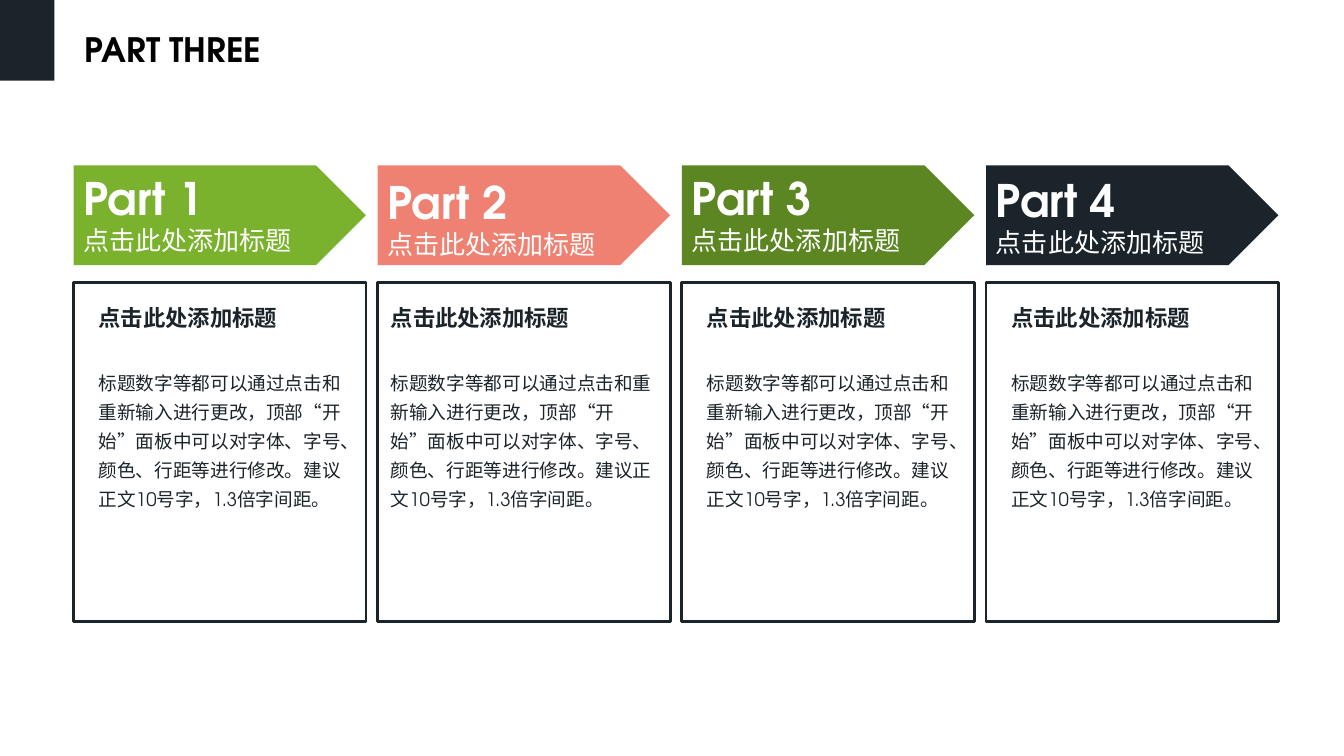
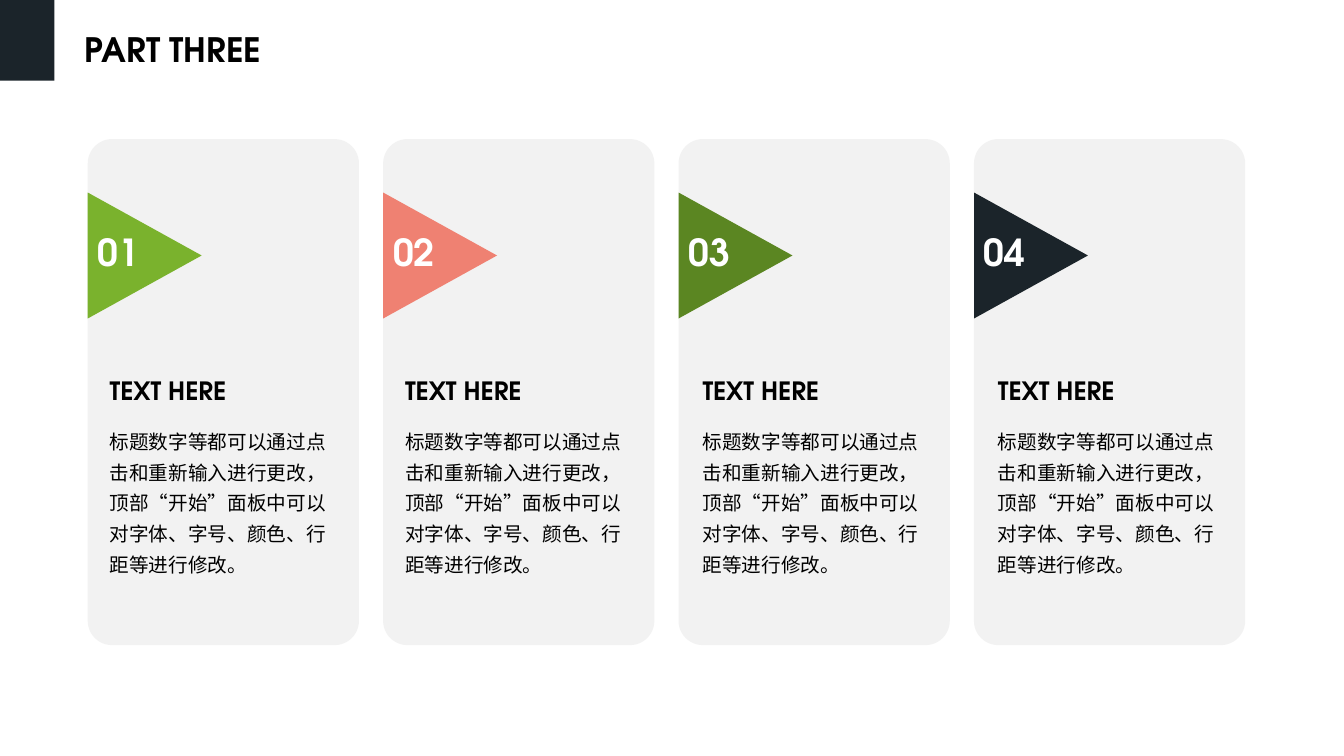
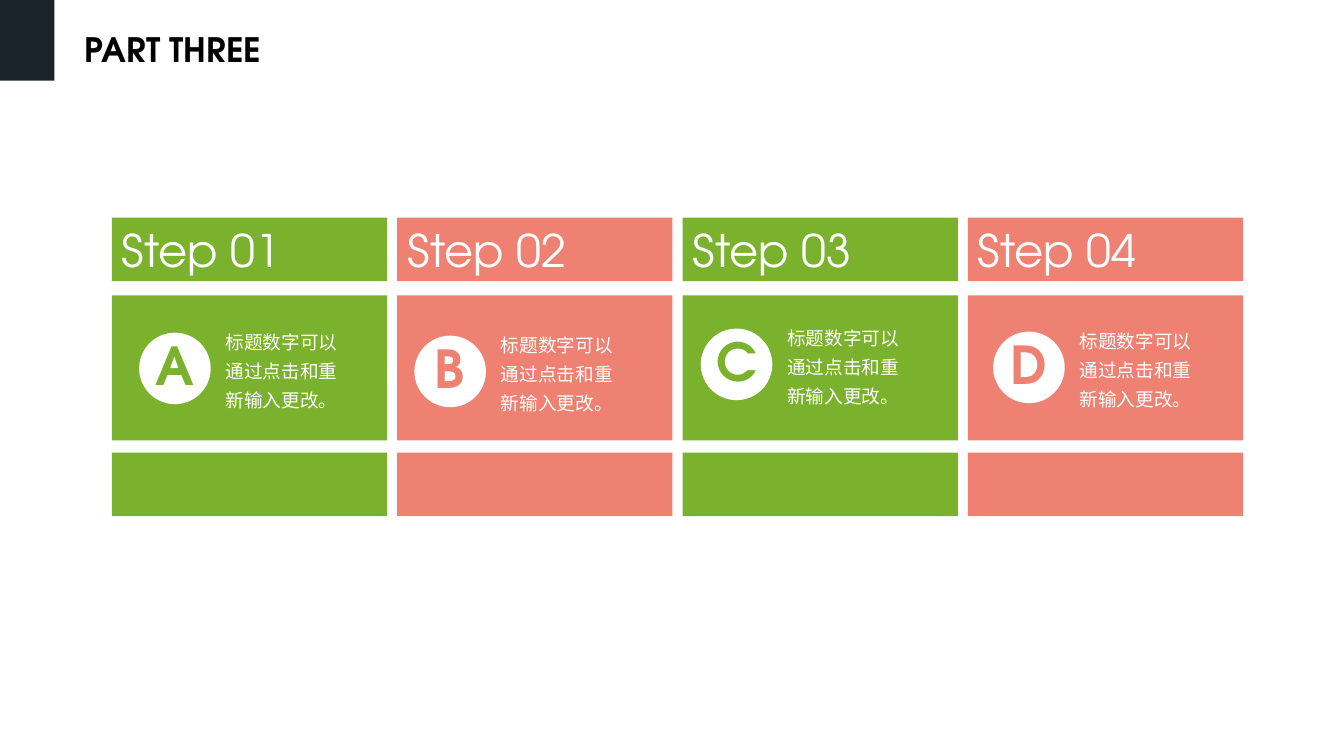
from pptx import Presentation
from pptx.dml.color import RGBColor
from pptx.enum import shapes, text
from pptx.util import Inches, Pt

FONT = "TeX Gyre Adventor"
INK = RGBColor(0x1B, 0x24, 0x2A)
GREEN = RGBColor(0x7A, 0xB2, 0x2D)
CORAL = RGBColor(0xEF, 0x81, 0x72)
OLIVE = RGBColor(0x5B, 0x86, 0x22)
PALE = RGBColor(0xF2, 0xF2, 0xF2)
WHITE = RGBColor(0xFF, 0xFF, 0xFF)
BLACK = RGBColor(0x00, 0x00, 0x00)

KIND = shapes.MSO_SHAPE
TOP, MIDDLE = text.MSO_ANCHOR.TOP, text.MSO_ANCHOR.MIDDLE
LEFT, CENTER = text.PP_ALIGN.LEFT, text.PP_ALIGN.CENTER

HEADING = "点击此处添加标题"
BODY = "标题数字等都可以通过点击和重新输入进行更改，顶部“开始”面板中可以对字体、字号、颜色、行距等进行修改。"
ADVICE = "建议正文10号字，1.3倍字间距。"
STEP_NOTE = "标题数字可以通过点击和重新输入更改。"


def columns(first, last, n=4):
    """Left edges of n equally spaced columns."""
    return [first + (last - first) * i / (n - 1) for i in range(n)]


def para(words, size, color=BLACK, bold=False, align=LEFT, spacing=1.0, before=0):
    """Return a function that fills one paragraph with formatted text."""
    def fill_in(p):
        p.alignment = align
        p.line_spacing = spacing
        p.space_before = Pt(before)
        r = p.add_run()
        r.text = words
        f = r.font
        f.name, f.size, f.bold = FONT, Pt(size), bold
        f.color.rgb = color
    return fill_in


class Deck:
    def __init__(self):
        self.prs = Presentation()
        self.prs.slide_width = Inches(13.33)
        self.prs.slide_height = Inches(7.5)
        self.s = None

    def slide(self, title):
        self.s = self.prs.slides.add_slide(self.prs.slide_layouts[6])
        self.shape(KIND.RECTANGLE, 0, 0, 0.54, 0.8, fill=INK)
        self.text(0.74, 0.22, 5.32, 0.58,
                  para(title, 24, bold=True, spacing=0.9), anchor=MIDDLE)

    def set_text(self, sp, paras, wrap=True, anchor=TOP):
        tf = sp.text_frame
        tf.word_wrap = wrap
        tf.vertical_anchor = anchor
        for i, fill_in in enumerate(paras):
            fill_in(tf.add_paragraph() if i else tf.paragraphs[0])

    def text(self, x, y, w, h, *paras, **frame):
        sp = self.s.shapes.add_textbox(Inches(x), Inches(y), Inches(w), Inches(h))
        self.set_text(sp, paras, **frame)

    def shape(self, kind, x, y, w, h, *paras, fill=None, line=None):
        sp = self.s.shapes.add_shape(kind, Inches(x), Inches(y), Inches(w), Inches(h))
        sp.shadow.inherit = False
        if fill is None:
            sp.fill.background()
        else:
            sp.fill.solid()
            sp.fill.fore_color.rgb = fill
        if line is None:
            sp.line.fill.background()
        else:
            sp.line.color.rgb = line
            sp.line.width = Pt(2)
        if paras:
            self.set_text(sp, paras, anchor=MIDDLE)
        return sp


def parts_slide(d):
    d.slide("PART THREE")
    colors = [GREEN, CORAL, OLIVE, INK]
    label_tops = [1.64, 1.68, 1.64, 1.66]
    insets = [0.15, 0.03, 0.15, 0.15]
    rows = zip(columns(0.73, 9.78), colors, label_tops, insets)
    for i, (x, color, top, inset) in enumerate(rows, 1):
        # Framed text
        d.shape(KIND.RECTANGLE, x, 2.8, 2.9, 3.37, line=INK)
        d.text(x + inset, 2.89, 2.9 - inset, 2.55,
               para(HEADING, 16, INK, bold=True, spacing=1.3),
               para(BODY + ADVICE, 13.3, INK, spacing=1.3, before=24))
        # Arrow heading
        d.shape(KIND.PENTAGON, x, 1.64, 2.9, 0.99, fill=color)
        d.text(x, top, 2.44, 0.95,
               para(f"Part {i}", 32, WHITE, bold=True),
               para(HEADING, 18.6, WHITE))


def cards_slide(d):
    d.slide("PART THREE")
    colors = [GREEN, CORAL, OLIVE, INK]
    text_lefts = [0.99, 3.92, 6.87, 9.8]
    rows = zip(columns(0.87, 9.66), colors, text_lefts)
    for i, (x, color, left) in enumerate(rows, 1):
        card = d.shape(KIND.ROUNDED_RECTANGLE, x, 1.38, 2.69, 5.02, fill=PALE)
        card.adjustments[0] = 0.09
        # Numbered flag
        flag = d.shape(KIND.ISOSCELES_TRIANGLE, x - 0.06, 1.97, 1.25, 1.13, fill=color)
        flag.rotation = 90
        d.text(x, 2.23, 0.62, 0.55,
               para(f"{i:02}", 26.6, WHITE, bold=True), wrap=False)
        # Card text
        d.text(left, 3.52, 1.37, 0.5,
               para("TEXT HERE", 18, bold=True, spacing=1.5), wrap=False)
        d.text(left, 4.15, 2.44, 1.63, para(BODY, 14, spacing=1.3))


def steps_slide(d):
    d.slide("PART THREE")
    badges = [("A", 1.38, 3.3), ("B", 4.11, 3.33), ("C", 6.95, 3.26), ("D", 9.85, 3.29)]
    for i, (x, (letter, left, top)) in enumerate(zip(columns(1.11, 9.6), badges)):
        color = [GREEN, CORAL][i % 2]
        # Column blocks
        d.shape(KIND.RECTANGLE, x, 2.16, 2.73, 0.63,
                para(f"Step {i + 1:02}", 32, WHITE), fill=color)
        d.shape(KIND.RECTANGLE, x, 2.93, 2.73, 1.44, fill=color)
        d.shape(KIND.RECTANGLE, x, 4.49, 2.73, 0.63, fill=color)
        # Lettered badge and note
        d.shape(KIND.OVAL, left, top, 0.71, 0.71, fill=WHITE)
        d.text(left, top - 0.04, 0.71, 0.73,
               para(letter, 37.4, color, bold=True, align=CENTER), wrap=False)
        d.text(left + 0.76, top - 0.13, 1.46, 0.98,
               para(STEP_NOTE, 13.3, WHITE, spacing=1.3))


def main():
    d = Deck()
    parts_slide(d)
    cards_slide(d)
    steps_slide(d)
    d.prs.save("out.pptx")


if __name__ == "__main__":
    main()
